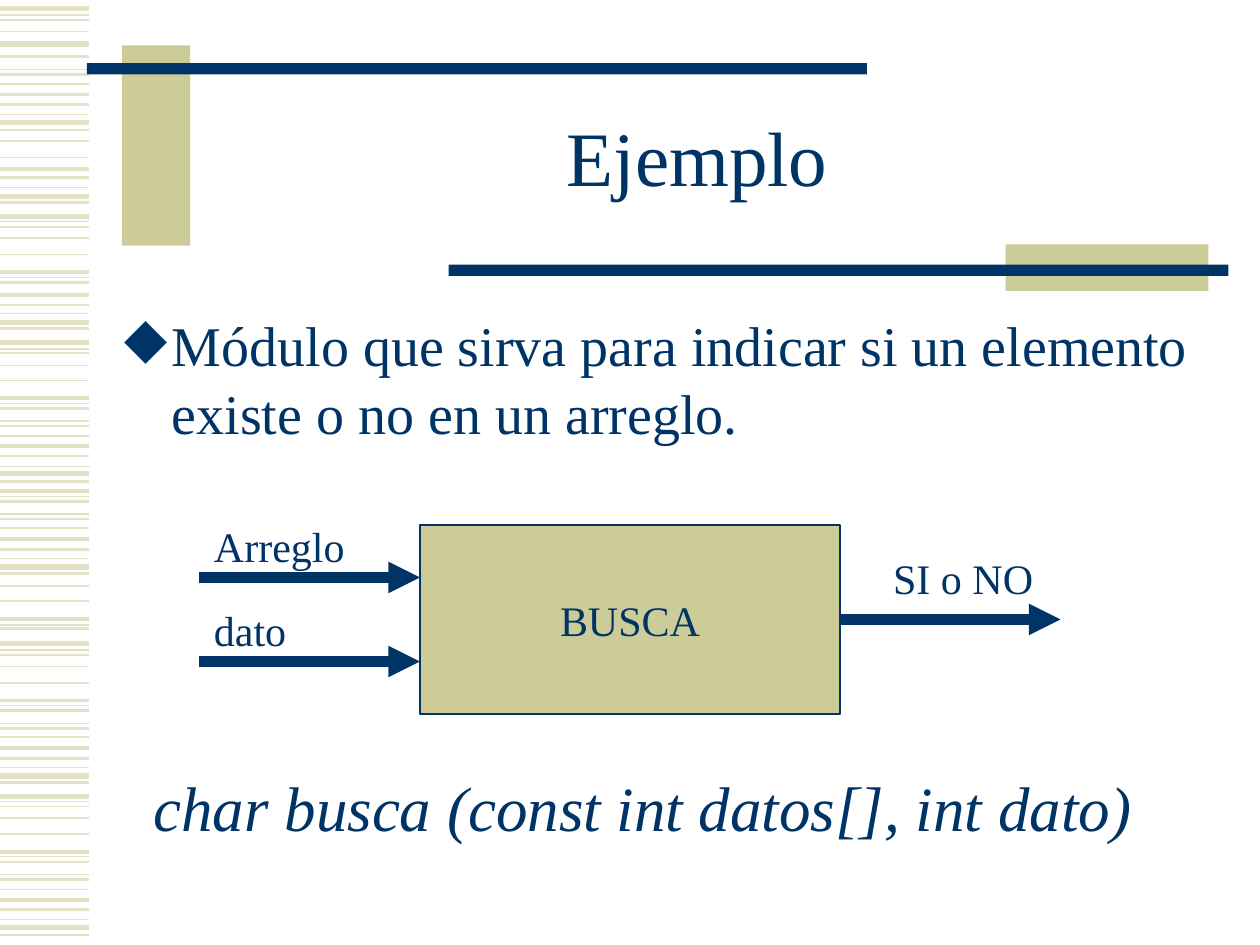
from lxml import etree
from pptx import Presentation
from pptx.dml.color import RGBColor
from pptx.enum import shapes, text
from pptx.oxml.ns import qn
from pptx.util import Pt

NAVY = RGBColor(0x00, 0x33, 0x66)
KHAKI = RGBColor(0xCC, 0xCC, 0x99)
PALE = RGBColor(0xE3, 0xE2, 0xC7)
FONT = "Times New Roman"

TITLE = "Ejemplo"
BODY = "Módulo que sirva para indicar si un elemento existe o no en un arreglo."
PROTOTYPE = "char busca (const int datos[], int dato)"
MODULE = "BUSCA"

# Label, left, top, width
LABELS = [
    ("Arreglo", 115.2, 294, 88.6),
    ("dato", 115.2, 342, 55.4),
    ("SI o NO", 503.3, 312, 94.3),
]
MODULE_BOX = (240, 300, 240, 108)
ARROW_LENGTH = 126
INPUT_HEIGHTS = [330, 378]

# Left, top, width, height, colour
BARS = [
    (69.8, 25.9, 38.9, 114.5, KHAKI),
    (49.7, 36, 445.7, 6.5, NAVY),
    (574.6, 139.7, 115.9, 26.6, KHAKI),
    (256.3, 151.2, 445.7, 6.5, NAVY),
]

STRIPE_LENGTH = 51.1
# Line width: heights of the stripes on the left edge
STRIPES = {
    3: [5, 25.2, 69.8, 112.3, 123.8, 184.3, 195.8, 270.7, 324, 367.9, 443.5,
        455, 529.9],
    2.25: [54, 96.5, 155.5, 168.5, 227.5, 254.9, 280.8, 308.2, 353.5, 400.3,
           427.7, 486.7, 514.1],
    1.5: [32.4, 42.5, 59.8, 74.2, 101.5, 115.9, 161.3, 174.2, 187.9, 233.3,
          243.4, 260.6, 275, 286.6, 296.6, 313.9, 327.6, 359.3, 406.1, 416.2,
          433.4, 447.1, 492.5, 502.6, 519.8, 534.2],
    1: [11.5, 18, 48.2, 80.6, 90, 129.6, 136.1, 145.4, 201.6, 208.8, 217.4,
        249.1, 301.7, 334.8, 343.4, 374.4, 380.9, 390.2, 421.2, 460.8, 467.3,
        476.6, 508.3],
    0.75: [8.6, 39.6, 65.5, 107.3, 126.7, 158.4, 179.3, 199.4, 230.4, 240.5,
           266.4, 283.7, 293.8, 319, 357.1, 371.5, 403.2, 413.3, 438.5, 457.9,
           489.6, 499.7, 525.6],
}


def write(shape, words, size=24, align=text.PP_ALIGN.LEFT,
          anchor=text.MSO_ANCHOR.TOP, wrap=False, italic=False,
          spacing=None, bullet=None, indent=0):
    frame = shape.text_frame
    frame.word_wrap = wrap
    frame.auto_size = text.MSO_AUTO_SIZE.NONE
    frame.vertical_anchor = anchor
    paragraph = frame.paragraphs[0]
    paragraph.text = words
    paragraph.alignment = align
    if spacing:
        paragraph.line_spacing = spacing
    if bullet:
        properties = paragraph._p.get_or_add_pPr()
        properties.set("marL", str(Pt(indent)))
        properties.set("indent", str(-Pt(indent)))
        colour = etree.SubElement(properties, qn("a:buClr"))
        etree.SubElement(colour, qn("a:srgbClr")).set("val", str(NAVY))
        etree.SubElement(properties, qn("a:buChar")).set("char", bullet)
    font = paragraph.font
    font.name, font.size, font.italic = FONT, Pt(size), italic
    font.color.rgb = NAVY


def add_text(slide, place, words, **style):
    write(slide.shapes.add_textbox(*map(Pt, place)), words, **style)


def add_rectangle(slide, place, colour):
    shape = slide.shapes.add_shape(shapes.MSO_SHAPE.RECTANGLE, *map(Pt, place))
    shape.shadow.inherit = False
    shape.fill.solid()
    shape.fill.fore_color.rgb = colour
    shape.line.fill.background()
    return shape


def add_line(slide, left, height, length, colour, width, arrow=False):
    """Draw a horizontal line, with an arrowhead at its right end if asked."""
    line = slide.shapes.add_connector(
        shapes.MSO_CONNECTOR.STRAIGHT,
        Pt(left), Pt(height), Pt(left + length), Pt(height))
    line.line.color.rgb = colour
    line.line.width = Pt(width)
    if arrow:
        tail = etree.SubElement(line.line._get_or_add_ln(), qn("a:tailEnd"))
        tail.set("type", "triangle")
    etree.SubElement(line._element.spPr, qn("a:effectLst"))
    return line


def main():
    presentation = Presentation()
    presentation.slide_width, presentation.slide_height = Pt(720), Pt(540)
    slide = presentation.slides.add_slide(presentation.slide_layouts[5])

    for width, heights in STRIPES.items():
        for height in heights:
            add_line(slide, 0, height, STRIPE_LENGTH, PALE, width)
    for *place, colour in BARS:
        add_rectangle(slide, place, colour)

    title = slide.shapes.title
    title.left, title.top, title.width, title.height = map(
        Pt, (108, 48.2, 581, 90))
    write(title, TITLE, size=44, align=text.PP_ALIGN.CENTER,
          anchor=text.MSO_ANCHOR.MIDDLE, wrap=True, spacing=0.85)
    add_text(slide, (64.1, 174.2, 626.4, 305.3), BODY, size=32, wrap=True,
             bullet="◆", indent=27)

    module = add_rectangle(slide, MODULE_BOX, KHAKI)
    module.line.color.rgb = NAVY
    module.line.width = Pt(0.75)
    write(module, MODULE, align=text.PP_ALIGN.CENTER,
          anchor=text.MSO_ANCHOR.MIDDLE)

    left, top, width, height = MODULE_BOX
    for input_height in INPUT_HEIGHTS:
        add_line(slide, left - ARROW_LENGTH, input_height, ARROW_LENGTH,
                 NAVY, 6, arrow=True)
    output = add_line(slide, left + width, top + height / 2, ARROW_LENGTH,
                      NAVY, 6, arrow=True)
    output.begin_connect(module, 3)

    for words, label_left, label_top, label_width in LABELS:
        add_text(slide, (label_left, label_top, label_width, 36), words)
    add_text(slide, (80.6, 435.6, 573.1, 50.4), PROTOTYPE, size=36,
             italic=True)

    presentation.save("out.pptx")


if __name__ == "__main__":
    main()
